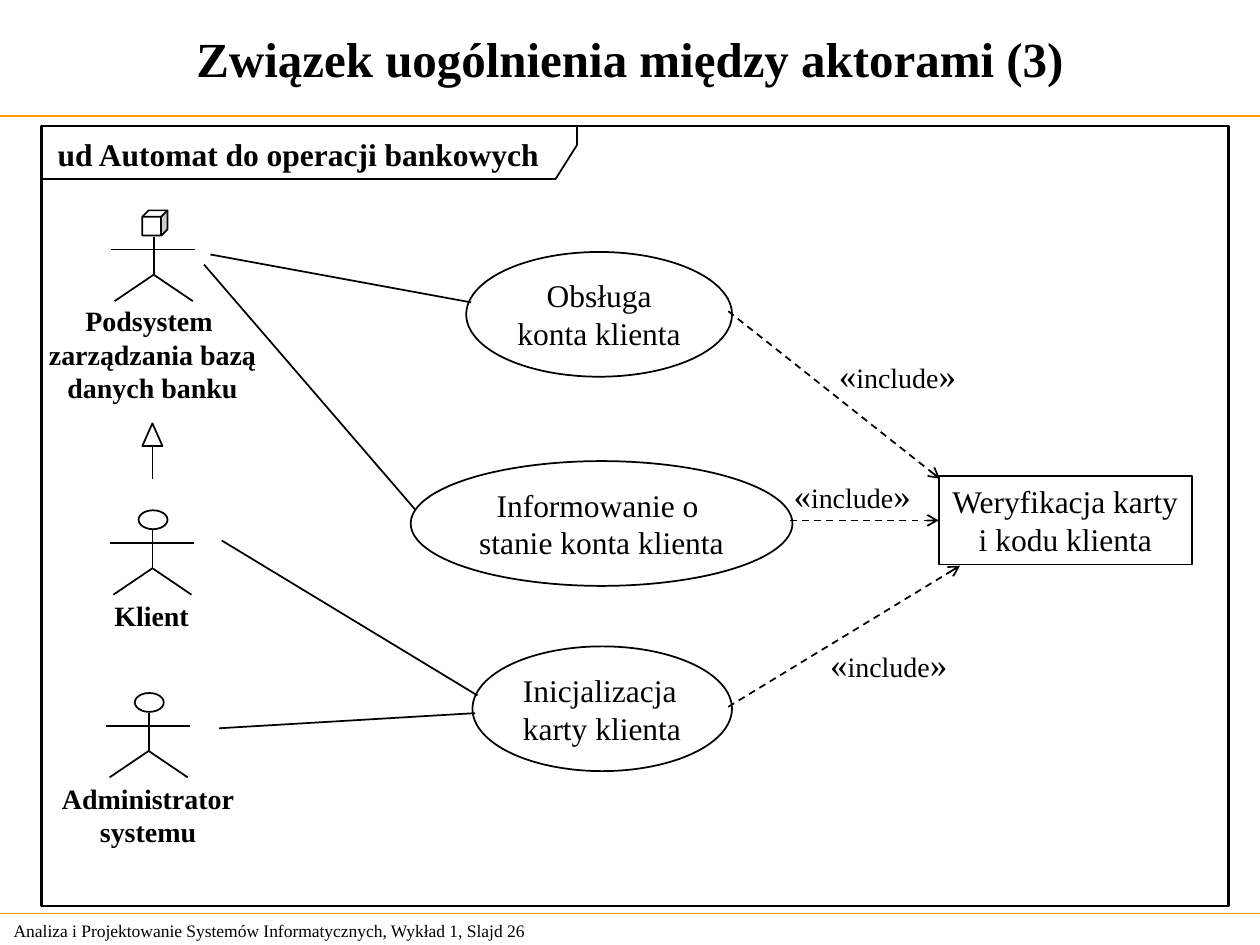
from pptx import Presentation
from pptx.dml.color import RGBColor
from pptx.enum.dml import MSO_LINE
from pptx.enum.shapes import MSO_CONNECTOR, MSO_SHAPE
from pptx.enum.text import MSO_ANCHOR, MSO_AUTO_SIZE, PP_ALIGN
from pptx.util import Inches, Pt
from lxml.etree import SubElement
from pptx.oxml.ns import qn

BLACK, WHITE, ORANGE = "000000", "FFFFFF", "FF9900"
CENTER, LEFT = PP_ALIGN.CENTER, PP_ALIGN.LEFT

prs = Presentation()
prs.slide_width, prs.slide_height = Inches(10), Inches(7.5)
slide = prs.slides.add_slide(prs.slide_layouts[6])
shapes = slide.shapes


def add_line(parent, x1, y1, x2, y2, color=BLACK, width=1, arrow=False):
    line = parent.add_connector(MSO_CONNECTOR.STRAIGHT, Inches(x1), Inches(y1),
                                Inches(x2), Inches(y2))
    line.line.color.rgb = RGBColor.from_string(color)
    line.line.width = Pt(width)
    if arrow:
        line.line.dash_style = MSO_LINE.DASH
        SubElement(line.line._get_or_add_ln(), qn("a:tailEnd"), type="arrow")
    SubElement(line._element.spPr, qn("a:effectLst"))
    return line


def add_box(parent, kind, x, y, w, h, text="", size=18, bold=False, align=CENTER,
            anchor=MSO_ANCHOR.TOP, wrap=False, fill=None, border=1):
    place = [Inches(v) for v in (x, y, w, h)]
    if kind is None:
        box = parent.add_textbox(*place)
    else:
        box = parent.add_shape(kind, *place)
        box.shadow.inherit = False
        box.line.color.rgb = RGBColor.from_string(BLACK)
        box.line.width = Pt(border)
        if fill:
            box.fill.solid()
            box.fill.fore_color.rgb = RGBColor.from_string(fill)
        else:
            box.fill.background()
    if text:
        frame = box.text_frame
        frame.text = text
        frame.word_wrap = wrap
        frame.vertical_anchor = anchor
        frame.auto_size = MSO_AUTO_SIZE.NONE
        if align == CENTER:
            # Centred lines need the full width to stay unbroken
            frame.margin_left = frame.margin_right = Inches(0)
        for paragraph in frame.paragraphs:
            paragraph.alignment = align
            paragraph.font.name = "Times New Roman"
            paragraph.font.size = Pt(size)
            paragraph.font.bold = bold
            paragraph.font.color.rgb = RGBColor.from_string(BLACK)
    return box


# Footer, rules and title
add_box(shapes, None, 0.01, 7.25, 4.75, 0.27,
        "Analiza i Projektowanie Systemów Informatycznych, Wykład 1, Slajd 26",
        size=10, align=LEFT, anchor=MSO_ANCHOR.MIDDLE, wrap=True)
for y in (0.92, 7.25):
    add_line(shapes, 0, y, 10, y, ORANGE, 0.75)
add_box(shapes, None, 0, 0, 10, 0.92, "Związek uogólnienia między aktorami (3)",
        size=28, bold=True, anchor=MSO_ANCHOR.MIDDLE, wrap=True)

# Diagram frame with its name tab
add_box(shapes, MSO_SHAPE.RECTANGLE, 0.33, 1, 9.42, 6.19, border=1.5)
add_box(shapes, None, 0.36, 1.02, 4.03, 0.4, "ud Automat do operacji bankowych",
        bold=True, align=LEFT)
tab_corners = [(0.33, 1.42), (4.41, 1.42), (4.58, 1.15), (4.58, 1)]
for start, end in zip(tab_corners, tab_corners[1:]):
    add_line(shapes, *start, *end)

# Use cases
for x, y, w, text, align in [
    (3.7, 2, 2.11, "Obsługa\nkonta klienta", CENTER),
    (3.26, 3.66, 3.03, "Informowanie o \nstanie konta klienta", CENTER),
    (3.75, 5.13, 2.06, "Inicjalizacja\nkarty klienta", LEFT),
]:
    add_box(shapes, MSO_SHAPE.OVAL, x, y, w, 0.99, text, align=align)
verification = add_box(shapes, MSO_SHAPE.RECTANGLE, 7.45, 3.78, 2.01, 0.7,
                       "Weryfikacja karty\ni kodu klienta")

# Associations between actors and use cases
for ends in [(1.67, 2.02, 3.74, 2.4), (1.62, 2.1, 3.3, 4.05),
             (1.74, 5.78, 3.77, 5.66), (1.76, 4.29, 3.79, 5.52)]:
    add_line(shapes, *ends)

# Include dependencies and their labels
add_line(shapes, 5.78, 5.61, 7.62, 4.49, arrow=True)
add_line(shapes, 6.27, 4.13, 7.45, 4.13, arrow=True).end_connect(verification, 1)
add_line(shapes, 5.78, 2.47, 7.46, 3.8, arrow=True)
for x, y in [(6.2, 3.71), (6.56, 2.76), (6.49, 5.05)]:
    label = add_box(shapes, None, x, y, 1.13, 0.44, "«", size=20, align=LEFT)
    stereotype = label.text_frame.paragraphs[0]
    word = stereotype.add_run()
    word.text = "include"
    word.font.size = Pt(16)
    stereotype.add_run().text = "»"

# Actors: head, trunk, arms and legs around the neck point
for neck_x, neck_y, head, head_x, head_y, head_w, head_h in [
    (1.22, 1.88, MSO_SHAPE.CUBE, 1.13, 1.67, 0.2, 0.2),
    (1.21, 4.21, MSO_SHAPE.OVAL, 1.1, 4.05, 0.23, 0.15),
    (1.18, 5.66, MSO_SHAPE.OVAL, 1.07, 5.5, 0.23, 0.15),
]:
    actor = shapes.add_group_shape().shapes
    hip_y, arm_y = neck_y + 0.3, neck_y + 0.1
    add_line(actor, neck_x, neck_y, neck_x, hip_y)
    add_line(actor, neck_x - 0.34, arm_y, neck_x + 0.33, arm_y)
    for step in (0.31, -0.31):
        add_line(actor, neck_x, hip_y, neck_x + step, hip_y + 0.21)
    add_box(actor, head, head_x, head_y, head_w, head_h, fill=WHITE)

# Actor names
for x, y, w, h, text, align in [
    (0.29, 2.36, 1.84, 0.9, "Podsystem \nzarządzania bazą\ndanych banku", CENTER),
    (0.81, 4.7, 0.79, 0.36, "Klient", LEFT),
    (0.39, 6.15, 1.57, 0.63, "Administrator\nsystemu", CENTER),
]:
    add_box(shapes, None, x, y, w, h, text, size=16, bold=True, align=align)

# Generalization arrow
generalization = shapes.add_group_shape().shapes
add_box(generalization, MSO_SHAPE.ISOSCELES_TRIANGLE, 1.13, 3.36, 0.16, 0.18, fill=WHITE)
add_line(generalization, 1.21, 3.54, 1.21, 3.8)

prs.save("out.pptx")
